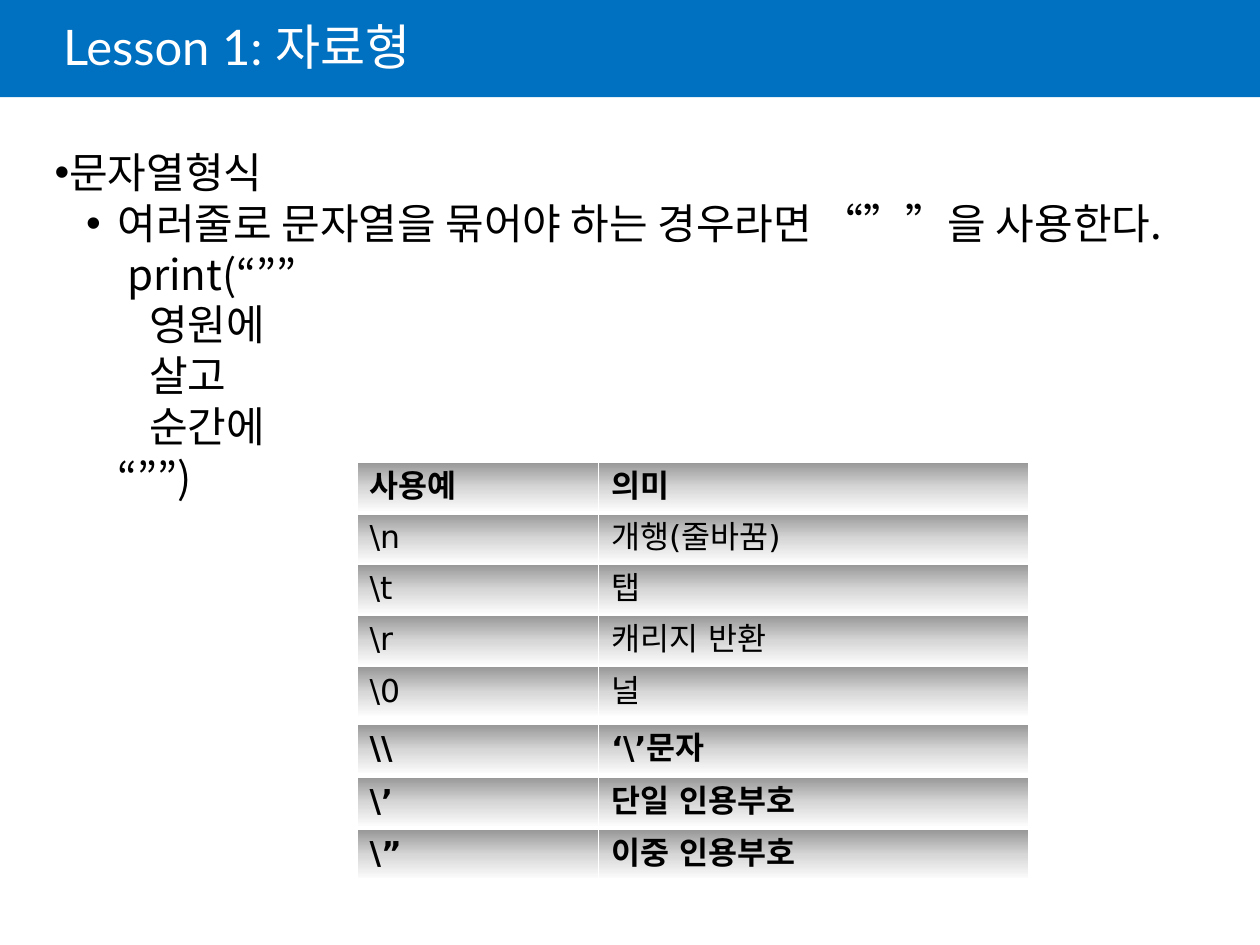
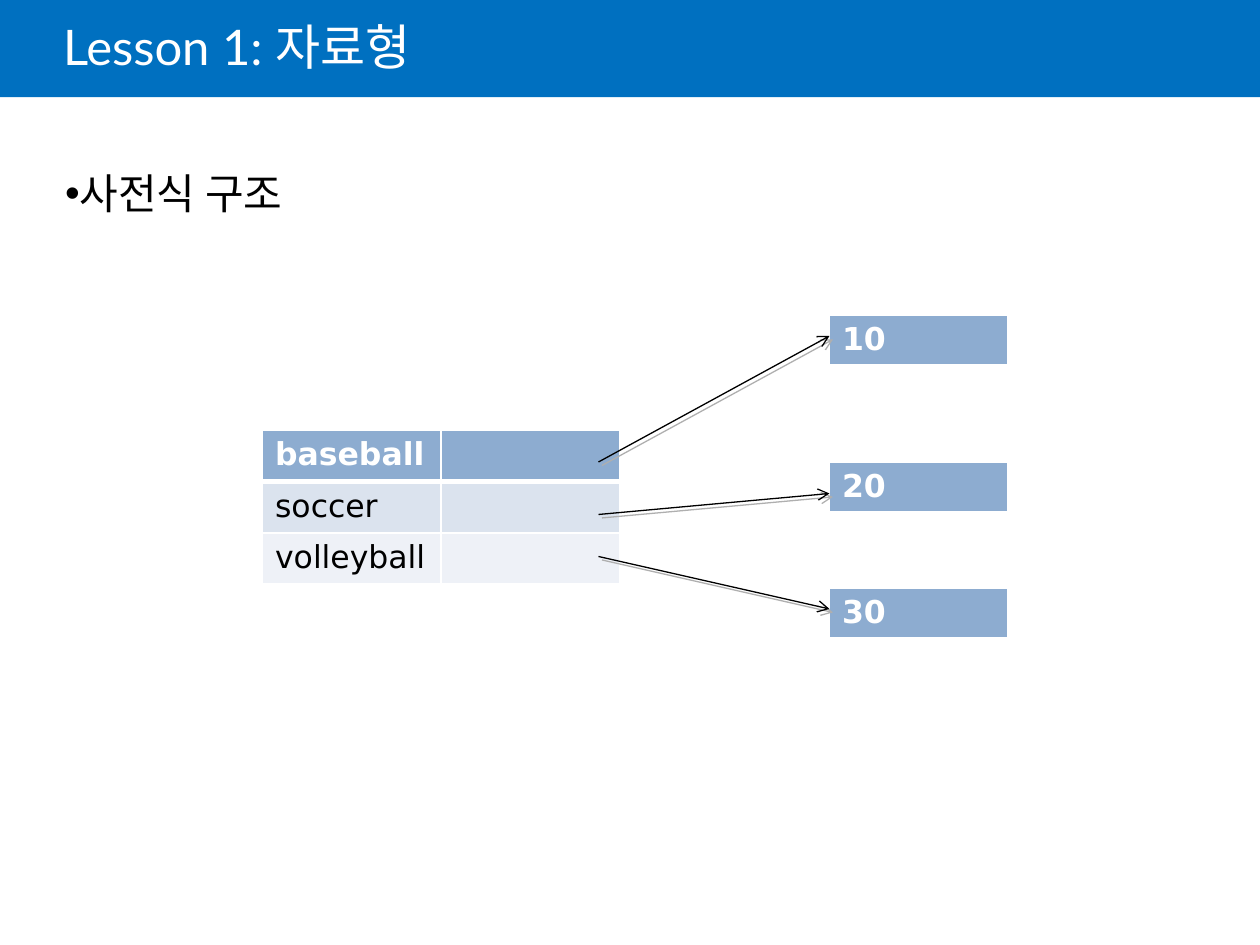
from lxml import etree
from pptx import Presentation
from pptx.dml.color import RGBColor
from pptx.enum.shapes import MSO_CONNECTOR as Connector, MSO_SHAPE as Shape
from pptx.enum.text import MSO_ANCHOR as Anchor, MSO_AUTO_SIZE as AutoSize, PP_ALIGN as Align
from pptx.oxml import parse_xml
from pptx.oxml.ns import nsdecls, qn
from pptx.util import Pt

COLORS = {
    "band": "0070C0", "white": "FFFFFF", "black": "000000", "shadow": "AFAFAF",
    "head": "8DACD0", "odd": "DBE3EE", "even": "EEF1F7",
    "gray_dark": "979797", "gray_light": "D7D7D7",
}
TITLE_FONT, LIST_FONT, TABLE_FONT = "Lato", "Noto Sans CJK KR", "DejaVu Sans"
ROW_HEIGHT = 29.25
GRAY_FADE = [(0, "gray_dark"), (50, "gray_light"), (100, "white")]


def write(para, text, font=TABLE_FONT, size=18, color="black", bold=False):
    span = para.add_run()
    span.text = text
    span.font.name = font
    span.font.size = Pt(size)
    span.font.bold = bold
    span.font.color.rgb = RGBColor.from_string(COLORS[color])
    etree.SubElement(span.font._element, qn("a:ea")).set("typeface", font)


def add_grid(page, left, top, widths, rows, fills, text_colors, bolds):
    frame = page.shapes.add_table(len(rows), len(widths), Pt(left), Pt(top),
                                  Pt(sum(widths)), Pt(ROW_HEIGHT * len(rows)))
    table = frame.table
    table.horz_banding = False
    for column, width in zip(table.columns, widths):
        column.width = Pt(width)
    for index, texts in enumerate(rows):
        table.rows[index].height = Pt(ROW_HEIGHT)
        for cell, text in zip(table.rows[index].cells, texts):
            if text:
                write(cell.text_frame.paragraphs[0], text,
                      color=text_colors[index], bold=bolds[index])
            props = cell._tc.get_or_add_tcPr()
            borders = {"L": 1, "R": 1, "T": 3 if index == 1 else 1, "B": 3 if index == 0 else 1}
            for side, width in borders.items():
                props.append(parse_xml(
                    f'<a:ln{side} {nsdecls("a")} w="{Pt(width)}"><a:solidFill>'
                    f'<a:srgbClr val="{COLORS["white"]}"/></a:solidFill></a:ln{side}>'))
            if fills[index] == "fade":
                stops = "".join(f'<a:gs pos="{place * 1000}"><a:srgbClr val="{COLORS[name]}"/></a:gs>'
                                for place, name in GRAY_FADE)
                props.append(parse_xml(
                    f'<a:gradFill {nsdecls("a")} rotWithShape="1"><a:gsLst>{stops}</a:gsLst>'
                    '<a:lin ang="5400000" scaled="0"/></a:gradFill>'))
            else:
                cell.fill.solid()
                cell.fill.fore_color.rgb = RGBColor.from_string(COLORS[fills[index]])


deck = Presentation()
deck.slide_width, deck.slide_height = Pt(720), Pt(540)
layout = deck.slide_layouts[1]

lists = [
    {"place": (24, 80, 654, 240), "wrap": True, "lines": [
        ("문자열형식", 0, 0, True),
        ("여러줄로 문자열을 묶어야 하는 경우라면 “””을 사용한다.", 36, -18, True),
        ("print(“””", 41.4, 0, False),
        ("영원에", 54, 0, False),
        ("살고", 54, 0, False),
        ("순간에", 54, 0, False),
        ("“””)", 36, 0, False),
    ]},
    {"place": (30, 92, 153, 36), "wrap": False, "lines": [("사전식 구조", 0, 0, True)]},
]

for content in lists:
    page = deck.slides.add_slide(layout)
    title, body = page.shapes.title, page.placeholders[1]
    title.left, title.top, title.width, title.height = Pt(36), Pt(0), Pt(612), Pt(58)
    box = title.text_frame
    box.margin_left, box.vertical_anchor = Pt(0), Anchor.MIDDLE
    box.auto_size = AutoSize.NONE
    box.paragraphs[0].alignment = Align.LEFT
    box.paragraphs[0].line_spacing = 0.85
    write(box.paragraphs[0], "Lesson 1: 자료형", font=TITLE_FONT, size=28, color="white")

    body.left, body.top, body.width, body.height = map(Pt, content["place"])
    box = body.text_frame
    box.word_wrap, box.auto_size = content["wrap"], AutoSize.NONE
    for index, (text, margin, indent, bulleted) in enumerate(content["lines"]):
        para = box.paragraphs[0] if index == 0 else box.add_paragraph()
        para.level = 1 if margin else 0
        para.alignment = Align.LEFT
        para.line_spacing, para.space_before = Pt(29), Pt(0)
        props = para._p.get_or_add_pPr()
        props.set("marL", str(Pt(margin)))
        props.set("indent", str(Pt(indent)))
        if bulleted:
            etree.SubElement(props, qn("a:buFont")).set("typeface", "Arial")
            etree.SubElement(props, qn("a:buChar")).set("char", "•")
        else:
            etree.SubElement(props, qn("a:buNone"))
        write(para, text, font=LIST_FONT, size=24)

string_page, dictionary_page = deck.slides

band = string_page.shapes.add_shape(Shape.RECTANGLE, Pt(0), Pt(0), Pt(720), Pt(55.5))
band.shadow.inherit = False
band.fill.solid()
band.fill.fore_color.rgb = RGBColor.from_string(COLORS["band"])
band.line.fill.background()
deck.slide_master.shapes.element.insert(2, band._element)

escapes = [("사용예", "의미"), ("\\n", "개행(줄바꿈)"), ("\\t", "탭"),
           ("\\r", "캐리지 반환"), ("\\0", "널")]
add_grid(string_page, 204, 264, [138, 246], escapes, ["fade"] * 5, ["black"] * 5, [True] + [False] * 4)
quotes = [("\\\\", "‘\\’문자"), ("\\’", "단일 인용부호"), ("\\”", "이중 인용부호")]
for index, row in enumerate(quotes):
    add_grid(string_page, 204, 414 + 30 * index, [138, 246], [row], ["fade"], ["black"], [True])

sports = [("baseball", ""), ("soccer", ""), ("volleyball", "")]
add_grid(dictionary_page, 150, 246, [102, 102], sports, ["head", "odd", "even"],
         ["white", "black", "black"], [True, False, False])
values = [("10", 180, 264, 192), ("20", 264, 294, 282), ("30", 336, 318, 348)]
for value, top, *_ in values:
    add_grid(dictionary_page, 474, top, [102], [(value,)], ["head"], ["white"], [True])
for _, _, start, end in values:
    arrow = dictionary_page.shapes.add_connector(Connector.STRAIGHT, Pt(342), Pt(start), Pt(474), Pt(end))
    arrow.line.width = Pt(0.75)
    arrow.line.color.rgb = RGBColor.from_string(COLORS["black"])
    etree.SubElement(arrow.line._get_or_add_ln(), qn("a:tailEnd")).set("type", "arrow")
    arrow._element.spPr.append(parse_xml(
        f'<a:effectLst {nsdecls("a")}><a:outerShdw blurRad="0" dist="{Pt(2.8)}" dir="2700000">'
        f'<a:srgbClr val="{COLORS["shadow"]}"/></a:outerShdw></a:effectLst>'))

deck.save("out.pptx")
